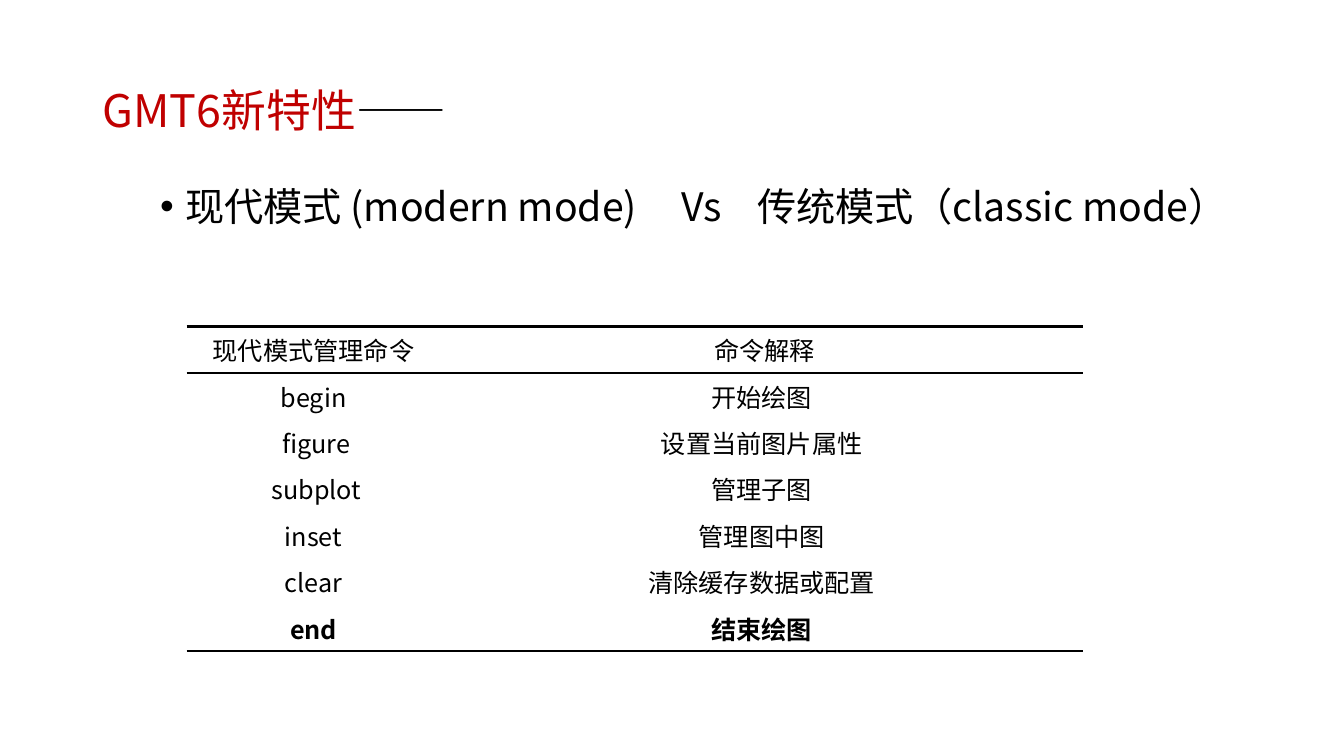
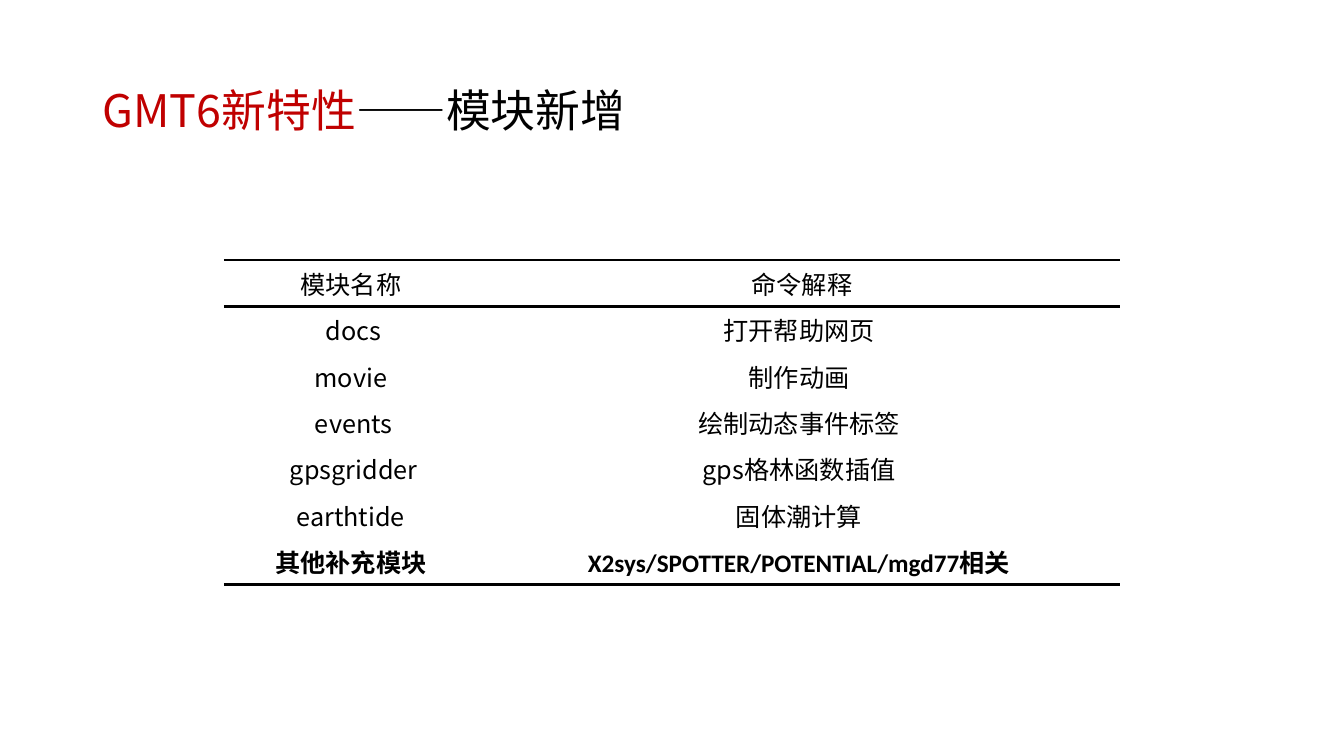
from dataclasses import dataclass

from lxml import etree
from pptx import Presentation
from pptx.dml.color import RGBColor
from pptx.enum.text import MSO_ANCHOR, PP_ALIGN
from pptx.oxml.ns import qn
from pptx.slide import Slide
from pptx.table import _Cell as Cell
from pptx.text.text import TextFrame, _Paragraph as Paragraph
from pptx.util import Inches, Pt

RED = RGBColor(0xC0, 0x00, 0x00)
BLACK = RGBColor(0x00, 0x00, 0x00)
CJK_FONT = "Noto Sans CJK SC"
LATIN_FONT = "Calibri"
BULLET_FONT = "Arial"

TITLE_TEXT = "GMT6新特性"
TITLE_FORMAT = {"size": Pt(32), "name": CJK_FONT}
BODY_FORMAT = {"size": Pt(28), "name": CJK_FONT}
CELL_FORMAT = {"size": Pt(18), "name": CJK_FONT}

COLUMN_WIDTHS = (2.52, 6.37)
ROW_HEIGHT = 0.46
RULE_WIDTH = Pt(2)


@dataclass
class CommandTable:
    left: float
    top: float
    rows: list[tuple[str, str]]
    last_font: str = CJK_FONT


MODERN_COMMANDS = CommandTable(1.85, 3.24, [
    ("现代模式管理命令", " 命令解释"),
    (" begin ", "开始绘图"),
    (" figure", "设置当前图片属性"),
    (" subplot", "管理子图"),
    (" inset ", "管理图中图"),
    ("clear", "清除缓存数据或配置"),
    (" end ", "结束绘图"),
])
NEW_MODULES = CommandTable(2.22, 2.58, [
    ("模块名称", " 命令解释"),
    (" docs", "打开帮助网页"),
    (" movie ", "制作动画"),
    (" events", "绘制动态事件标签"),
    (" gpsgridder", "gps格林函数插值"),
    (" earthtide ", "固体潮计算"),
    ("其他补充模块", "X2sys/SPOTTER/POTENTIAL/mgd77相关"),
], last_font=LATIN_FONT)


# Text
def add_run(p: Paragraph, text: str, formats: dict, color: RGBColor = BLACK) -> None:
    r = p.add_run()
    r.text = text
    for name, value in formats.items():
        setattr(r.font, name, value)
    r.font.color.rgb = color
    east_asian = etree.SubElement(r.font._element, qn("a:ea"))
    east_asian.set("typeface", CJK_FONT)


def add_text_box(s: Slide, left: float, top: float, width: float, height: float) -> TextFrame:
    tf = s.shapes.add_textbox(*map(Inches, (left, top, width, height))).text_frame
    tf.word_wrap = True
    return tf


def add_title(s: Slide, subtitle: str = "") -> None:
    tf = add_text_box(s, 0.92, 0.4, 11.5, 1.45)
    tf.vertical_anchor = MSO_ANCHOR.MIDDLE
    p = tf.paragraphs[0]
    p.line_spacing = 0.9
    add_run(p, TITLE_TEXT, TITLE_FORMAT, RED)
    add_run(p, "——" + subtitle, TITLE_FORMAT)


def add_bullet(s: Slide, text: str, tab_stops: tuple[float, ...]) -> None:
    p = add_text_box(s, 1.49, 1.53, 11.5, 4.76).paragraphs[0]
    props = p._p.get_or_add_pPr()
    props.set("marL", str(Inches(0.25)))
    props.set("indent", str(Inches(-0.25)))
    etree.SubElement(props, qn("a:buFont")).set("typeface", BULLET_FONT)
    etree.SubElement(props, qn("a:buChar")).set("char", "•")
    tabs = etree.SubElement(props, qn("a:tabLst"))
    for stop in tab_stops:
        tab = etree.SubElement(tabs, qn("a:tab"))
        tab.set("pos", str(Inches(stop)))
        tab.set("algn", "l")
    p.line_spacing = 1.5
    add_run(p, text, BODY_FORMAT)


# Tables
def set_borders(cell: Cell, ruled_sides: set[str]) -> None:
    props = cell._tc.get_or_add_tcPr()
    for side in "LRTB":
        line = etree.SubElement(props, qn(f"a:ln{side}"))
        if side in ruled_sides:
            line.set("w", str(RULE_WIDTH))
            fill = etree.SubElement(line, qn("a:solidFill"))
            etree.SubElement(fill, qn("a:srgbClr")).set("val", str(BLACK))
        else:
            etree.SubElement(line, qn("a:noFill"))


def add_command_table(s: Slide, content: CommandTable) -> None:
    rows = content.rows
    last = len(rows) - 1
    table = s.shapes.add_table(
        len(rows), len(COLUMN_WIDTHS), Inches(content.left), Inches(content.top),
        Inches(sum(COLUMN_WIDTHS)), Inches(ROW_HEIGHT * len(rows))).table
    table.first_row = table.horz_banding = False
    for column, width in zip(table.columns, COLUMN_WIDTHS):
        column.width = Inches(width)
    for i, texts in enumerate(rows):
        table.rows[i].height = Inches(ROW_HEIGHT)
        # Rules run above and below the header and under the last row
        sides = {side for side, ruled in (("T", (0, 1)), ("B", (0, last))) if i in ruled}
        formats = CELL_FORMAT | {"bold": i == last}
        if i == last:
            formats["name"] = content.last_font
        for j, text in enumerate(texts):
            cell = table.cell(i, j)
            set_borders(cell, sides)
            cell.fill.background()
            p = cell.text_frame.paragraphs[0]
            p.alignment = PP_ALIGN.CENTER
            add_run(p, text, formats)


def main() -> None:
    prs = Presentation()
    prs.slide_width, prs.slide_height = Inches(13.33), Inches(7.5)
    blank = prs.slide_layouts[6]

    # Modern mode against classic mode
    s = prs.slides.add_slide(blank)
    add_title(s)
    add_bullet(s, "现代模式 (modern mode)\tVs\t传统模式（classic mode）", (5.17, 5.92))
    add_command_table(s, MODERN_COMMANDS)

    # New modules
    s = prs.slides.add_slide(blank)
    add_title(s, "模块新增")
    add_command_table(s, NEW_MODULES)

    prs.save("out.pptx")


if __name__ == "__main__":
    main()
